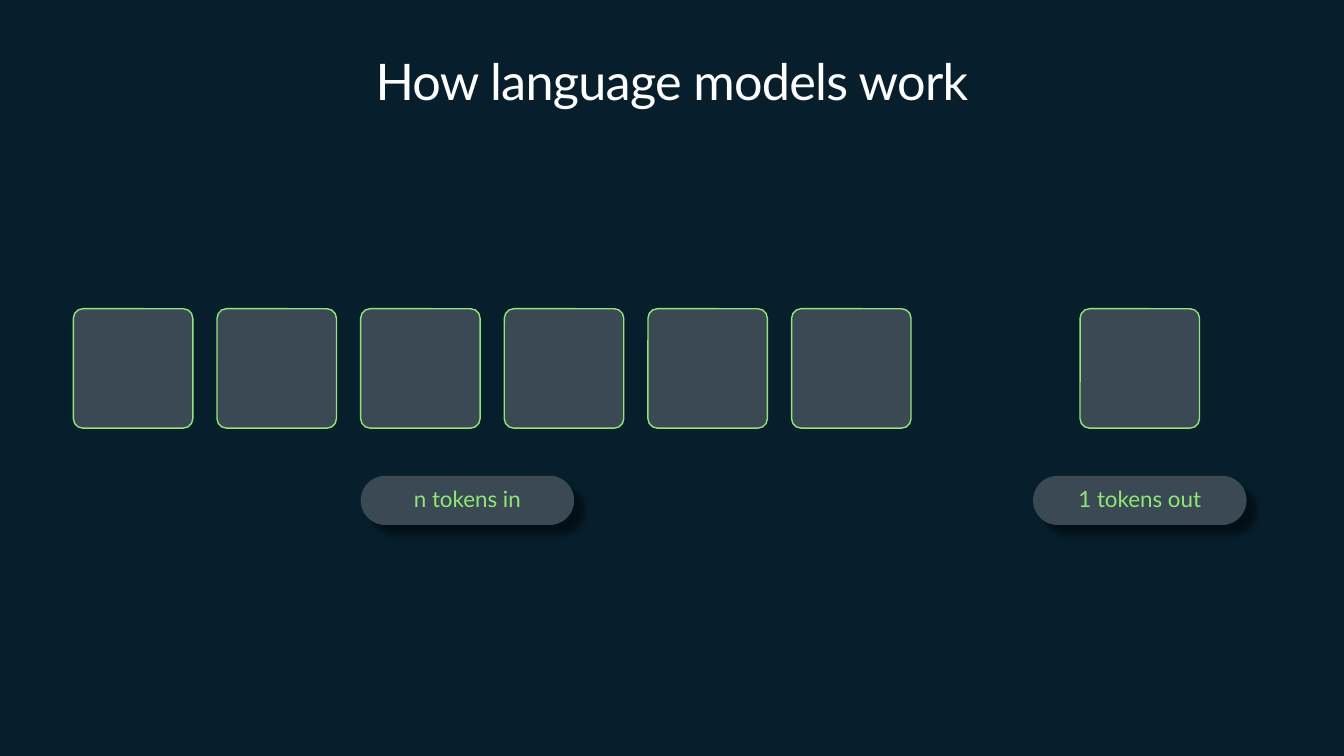
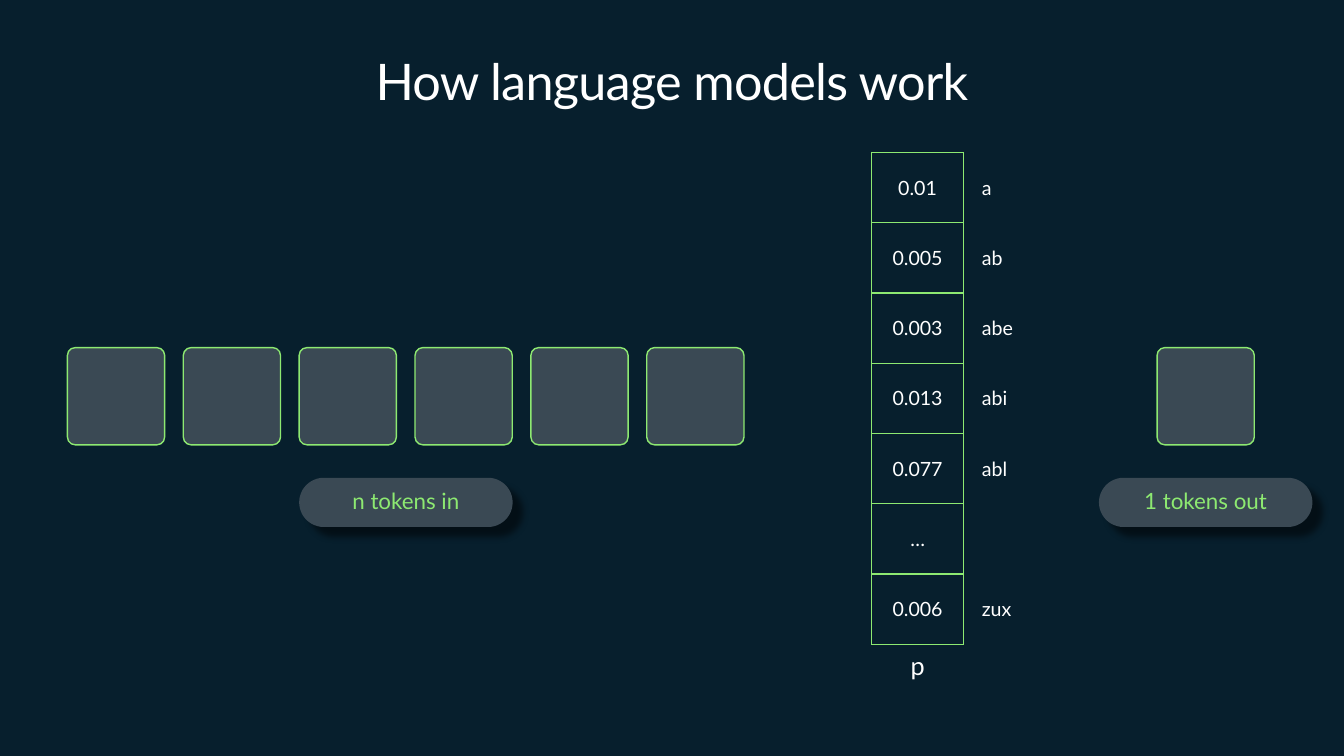
"""Build two slides on how a language model turns tokens into one token."""
import pptx
import pptx.dml.color
import pptx.enum.shapes
import pptx.enum.text
import pptx.oxml
import pptx.oxml.ns
import pptx.util

Cm = pptx.util.Cm
Pt = pptx.util.Pt
Shapes = pptx.enum.shapes.MSO_SHAPE
Align = pptx.enum.text.PP_ALIGN
Anchor = pptx.enum.text.MSO_ANCHOR
Fit = pptx.enum.text.MSO_AUTO_SIZE

NIGHT, SLATE, GREEN, WHITE = "071F2D", "3A4954", "8DE971", "FFFFFF"
FONT = "Lato"
NO_GRID_STYLE = "{2D5ABB26-0587-4C30-8999-92F81FD0307C}"
DRAWING = pptx.oxml.ns.nsdecls("a")

NO_INSETS = {"margin_left": 0, "margin_top": 0, "margin_right": 0, "margin_bottom": 0}
TITLE_FRAME = {**NO_INSETS, "word_wrap": True, "auto_size": Fit.SHAPE_TO_FIT_TEXT}
CAPTION_FRAME = {"word_wrap": False, "auto_size": Fit.SHAPE_TO_FIT_TEXT}
PILL_FRAME = {**NO_INSETS, "margin_left": Cm(0.3), "margin_right": Cm(0.3),
              "word_wrap": True, "vertical_anchor": Anchor.MIDDLE}

PILL_WIDTH, PILL_HEIGHT = 5.38, 1.24
TILE_COUNT = 6
PROBABILITIES = ["0.01", "0.005", "0.003", "0.013", "0.077", "…", "0.006"]
TOKENS = ["a", "ab", "abe", "abi", "abl", "", "zux"]


def colour(code):
    """Turn a hex string into a colour."""
    return pptx.dml.color.RGBColor.from_string(code)


def apply(target, values):
    """Set every attribute named in a dict of format values."""
    for name, value in values.items():
        setattr(target, name, value)


def write(frame, text, size, code=WHITE, align=Align.CENTER, **layout):
    """Write one formatted paragraph into a text frame and return its span."""
    para = frame.paragraphs[0]
    apply(para, {"alignment": align, **layout})
    span = para.add_run()
    span.text = text
    apply(span.font, {"name": FONT, "size": Pt(size)})
    span.font.color.rgb = colour(code)
    return span


def add_text(page, box, text, size, frame_values):
    """Place a text box and return its span."""
    frame = page.shapes.add_textbox(*map(Cm, box)).text_frame
    apply(frame, frame_values)
    return write(frame, text, size)


def add_round_box(page, box, corner):
    """Place a slate rounded rectangle without a shadow."""
    shape = page.shapes.add_shape(Shapes.ROUNDED_RECTANGLE, *map(Cm, box))
    shape.adjustments[0] = corner
    shape.shadow.inherit = False
    shape.fill.solid()
    shape.fill.fore_color.rgb = colour(SLATE)
    return shape


def add_tile(page, left, top, size):
    """Place one square token tile."""
    tile = add_round_box(page, (left, top, size, size), 0.08)
    tile.line.color.rgb = colour(GREEN)
    tile.line.width = Pt(1)


def add_pill(page, left, top, text):
    """Place a label pill with a soft shadow."""
    pill = add_round_box(page, (left, top, PILL_WIDTH, PILL_HEIGHT), 0.5)
    pill.line.fill.background()
    effects = pill._element.spPr.find(pptx.oxml.ns.qn("a:effectLst"))
    effects.append(pptx.oxml.parse_xml(
        f'<a:outerShdw {DRAWING} blurRad="{Pt(5)}" dist="{Pt(10)}" dir="2700000" '
        'algn="tl" rotWithShape="0"><a:srgbClr val="000000">'
        '<a:alpha val="50000"/></a:srgbClr></a:outerShdw>'))
    apply(pill.text_frame, PILL_FRAME)
    write(pill.text_frame, text, 16, GREEN, line_spacing=0.9)


def set_borders(cell, code):
    """Draw all four borders of a cell, or none when no colour is given."""
    paint = f'<a:solidFill><a:srgbClr val="{code}"/></a:solidFill>' if code else "<a:noFill/>"
    properties = cell._tc.get_or_add_tcPr()
    for index, side in enumerate("LRTB"):
        properties.insert(index, pptx.oxml.parse_xml(
            f'<a:ln{side} {DRAWING} w="{Pt(1)}">{paint}</a:ln{side}>'))


def add_column(page, box, entries, align, border=None):
    """Place a one-column table with equal rows."""
    table = page.shapes.add_table(len(entries), 1, *map(Cm, box)).table
    apply(table, {"first_row": False, "horz_banding": False})
    table._tbl.tblPr.find(pptx.oxml.ns.qn("a:tableStyleId")).text = NO_GRID_STYLE
    for row, entry in enumerate(entries):
        cell = table.cell(row, 0)
        cell.fill.background()
        cell.vertical_anchor = Anchor.MIDDLE
        set_borders(cell, border)
        if entry:
            write(cell.text_frame, entry, 14, align=align)


def add_distribution(page, left, top, width, height):
    """Place the probability column, its tokens and the caption below."""
    add_column(page, (left, top, width, height), PROBABILITIES, Align.CENTER, GREEN)
    add_column(page, (left + width + 0.21, top, width, height), TOKENS, Align.LEFT)
    caption_width = 0.89
    caption_left = left + (width - caption_width) / 2
    add_text(page, (caption_left, top + height + 0.02, caption_width, 1.02),
             "p", 18, CAPTION_FRAME)


def add_token_flow(page, left, top, size, pitch, out_left, label_top):
    """Place the input tiles, the output tile and their labels."""
    for index in range(TILE_COUNT):
        add_tile(page, left + index * pitch, top, size)
    add_tile(page, out_left, top, size)
    add_pill(page, left + 2 * pitch, label_top, "n tokens in")
    add_pill(page, out_left + (size - PILL_WIDTH) / 2, label_top, "1 tokens out")


def add_page(deck):
    """Add a blank page with the shared title."""
    page = deck.slides.add_slide(deck.slide_layouts[6])
    span = add_text(page, (1.63, 1.27, 30.61, 1.55), "How language models work",
                    36, TITLE_FRAME)
    span.font._element.set("spc", "-50")
    return page


def main():
    """Build and save the deck."""
    deck = pptx.Presentation()
    apply(deck, {"slide_width": Cm(33.87), "slide_height": Cm(19.05)})
    backdrop = deck.slide_master.background.fill
    backdrop.solid()
    backdrop.fore_color.rgb = colour(NIGHT)

    add_token_flow(add_page(deck), left=1.85, top=7.78, size=3.01, pitch=3.62,
                   out_left=27.22, label_top=11.99)

    page = add_page(deck)
    add_token_flow(page, left=1.7, top=8.76, size=2.45, pitch=2.92,
                   out_left=29.16, label_top=12.04)
    add_distribution(page, left=21.97, top=3.84, width=2.31, height=12.4)

    deck.save("out.pptx")


if __name__ == "__main__":
    main()
